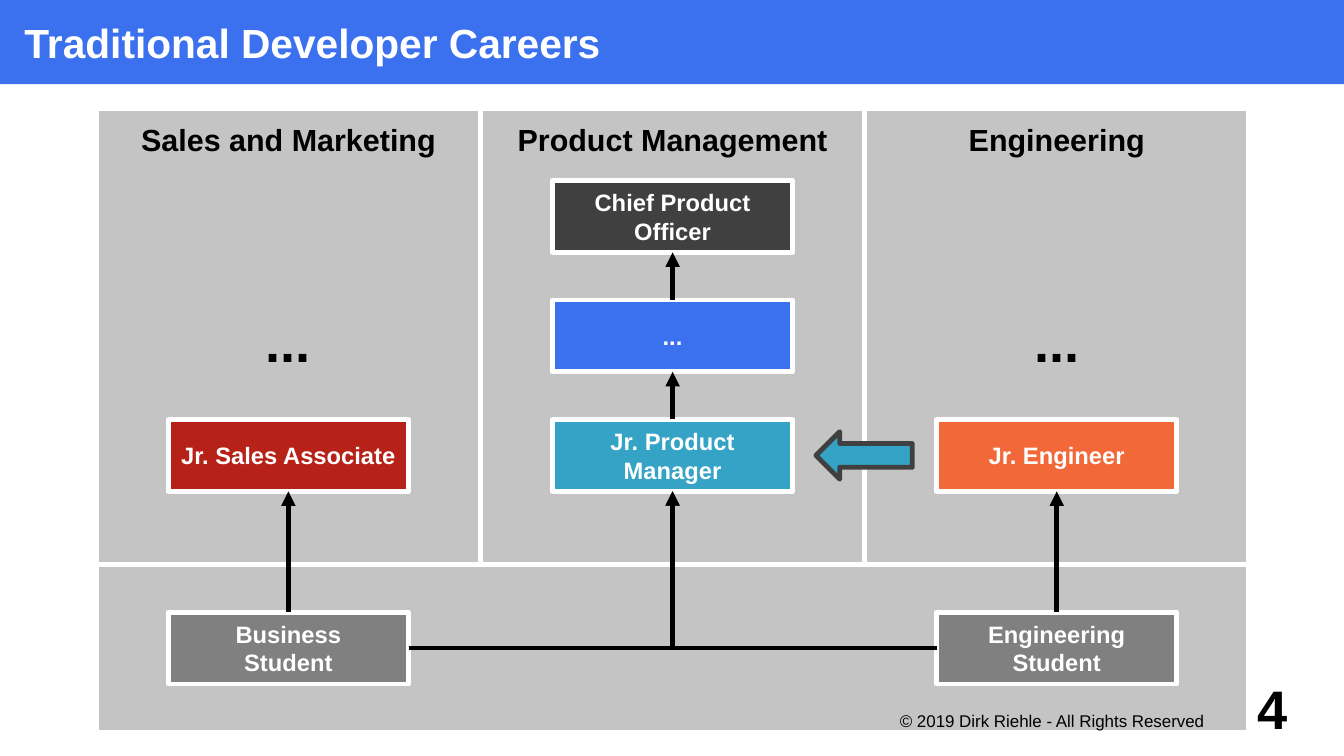
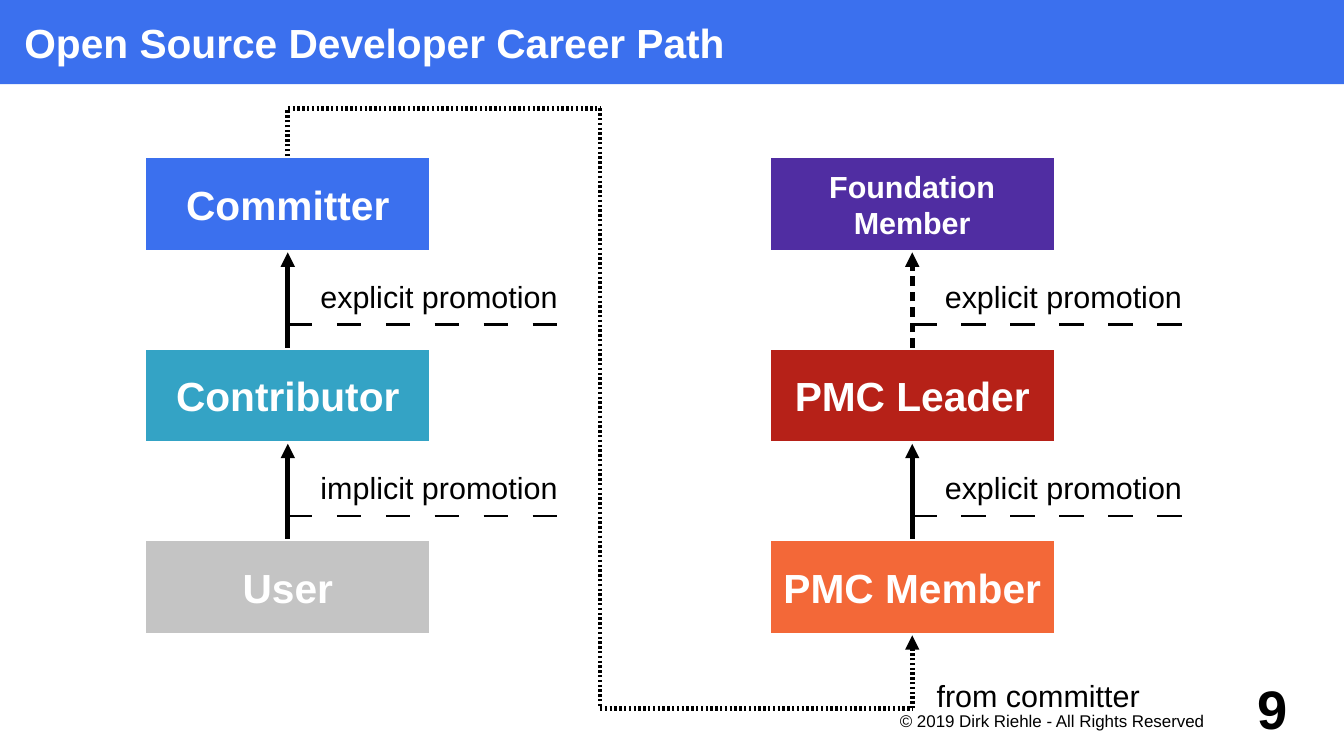
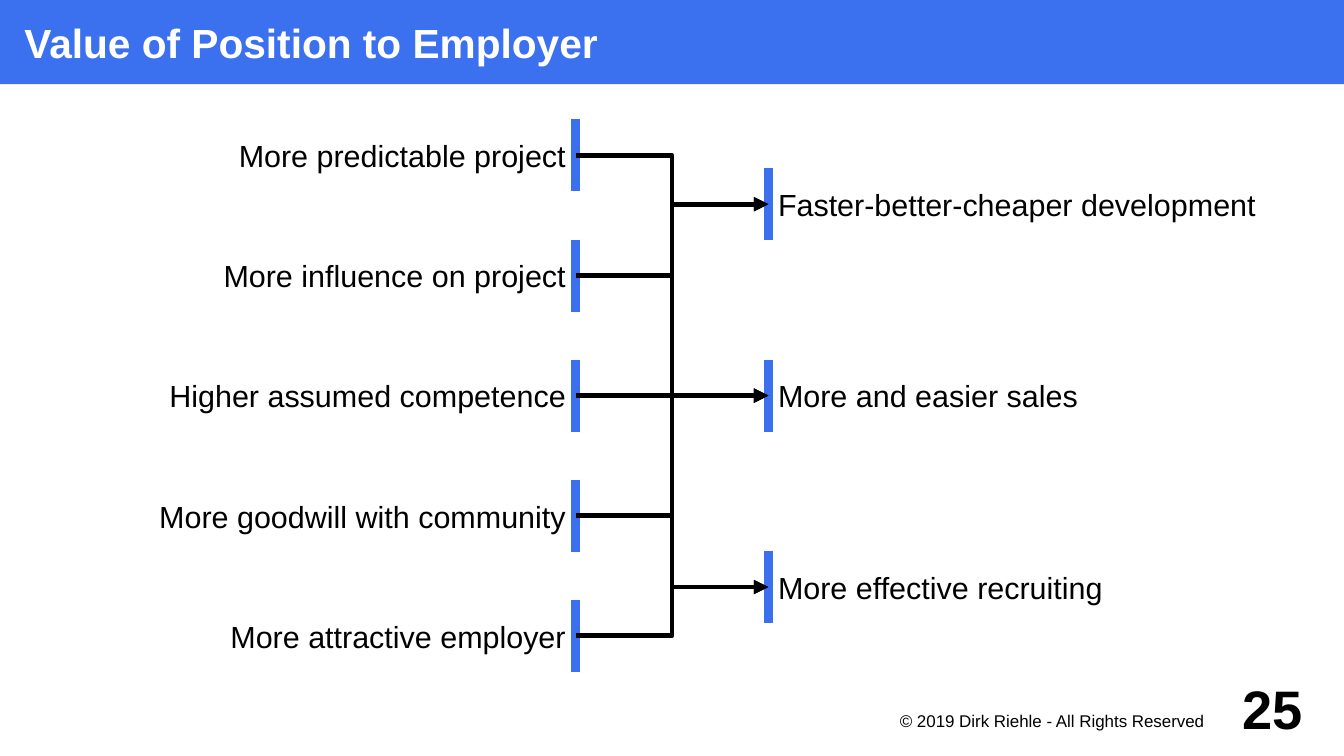
"""Builds three slides on developer careers and saves them as out.pptx."""
import itertools

import lxml.etree
import pptx
import pptx.dml.color
import pptx.enum.shapes
import pptx.enum.text
import pptx.oxml.ns
import pptx.util

Inches = pptx.util.Inches
Pt = pptx.util.Pt
rgb = pptx.dml.color.RGBColor.from_string
qn = pptx.oxml.ns.qn
ALIGN = pptx.enum.text.PP_ALIGN
ANCHOR = pptx.enum.text.MSO_ANCHOR
SHAPE = pptx.enum.shapes.MSO_SHAPE
CONNECTOR = pptx.enum.shapes.MSO_CONNECTOR

BLUE, TEAL, RED, ORANGE = "3B70EE", "34A3C5", "B62118", "F36838"
PURPLE, SILVER, GRAY, CHARCOAL = "502DA2", "C4C4C4", "808080", "404040"
BLACK, WHITE = "000000", "FFFFFF"
FONT = "Arial"
STROKE = 2.83
TOP, LEFT, BOTTOM, RIGHT = range(4)
DOTTED, DASHED, SPACED = (50, 50), (200, 120), (1000, 1000)


def box(slide, left, top, width, height, text="", size=18, color=BLACK, bold=False, fill=None, line=None,
        align=ALIGN.CENTER, anchor=ANCHOR.MIDDLE, insets=(0.08, 0.08, 0.08, 0.08), outline=SHAPE.RECTANGLE):
    place = [Inches(length) for length in (left, top, width, height)]
    if fill:
        item = slide.shapes.add_shape(outline, *place)
        item.shadow.inherit = False
        item.fill.solid()
        item.fill.fore_color.rgb = rgb(fill)
        if line:
            item.line.color.rgb = rgb(line)
            item.line.width = Pt(STROKE)
        else:
            item.line.fill.background()
    else:
        item = slide.shapes.add_textbox(*place)
    frame = item.text_frame
    frame.word_wrap = True
    frame.vertical_anchor = anchor
    frame.margin_left, frame.margin_top, frame.margin_right, frame.margin_bottom = map(Inches, insets)
    frame.text = text
    for paragraph in frame.paragraphs:
        paragraph.alignment = align
        paragraph.font.name = FONT
        paragraph.font.size = Pt(size)
        paragraph.font.bold = bold
        paragraph.font.color.rgb = rgb(color)
    return item


def link(slide, points=(0, 0, 0, 0), start=None, end=None, kind=CONNECTOR.STRAIGHT,
         color=BLACK, width=STROKE, dash=None, arrow=False):
    connector = slide.shapes.add_connector(kind, *map(Inches, points))
    if start:
        connector.begin_connect(*start)
    if end:
        connector.end_connect(*end)
    connector.line.color.rgb = rgb(color)
    connector.line.width = Pt(width)
    properties = connector._element.spPr
    lxml.etree.SubElement(properties, qn("a:effectLst"))
    stroke = properties.find(qn("a:ln"))
    if dash:
        pattern = lxml.etree.SubElement(stroke, qn("a:custDash"))
        on, off = dash
        lxml.etree.SubElement(pattern, qn("a:ds"), d=str(on * 1000), sp=str(off * 1000))
    if arrow:
        lxml.etree.SubElement(stroke, qn("a:tailEnd"), type="triangle")
    return connector


deck = pptx.Presentation()
deck.slide_width = Inches(11.02)
deck.slide_height = Inches(6.2)
blank = deck.slide_layouts[6]

titles = ["Traditional Developer Careers", "Open Source Developer Career Path", "Value of Position to Employer"]
for title in titles:
    box(deck.slides.add_slide(blank), 0, 0, 11.02, 0.69, title, 24, WHITE, True, BLUE,
        align=ALIGN.LEFT, insets=(0.2, 0, 0, 0))
traditional, open_source, value = deck.slides

box(traditional, 0.79, 4.63, 9.45, 1.38, fill=SILVER, line=WHITE)
departments = ["Sales and Marketing", "Product Management", "Engineering"]
for column, department in enumerate(departments):
    box(traditional, 0.79 + 3.15 * column, 0.89, 3.15, 3.74, department, bold=True, fill=SILVER, line=WHITE,
        anchor=ANCHOR.TOP, insets=(0.08, 0.1, 0.08, 0.08))

positions = [
    (0, 3.44, "Jr. Sales Associate", RED),
    (0, 5.02, "Business\vStudent", GRAY),
    (1, 1.48, "Chief Product Officer", CHARCOAL),
    (1, 2.46, "...", BLUE),
    (1, 3.44, "Jr. Product Manager", TEAL),
    (2, 3.44, "Jr. Engineer", ORANGE),
    (2, 5.02, "Engineering\nStudent", GRAY),
]
associate, business, officer, middle, manager, engineer, engineering = [
    box(traditional, 1.38 + 3.15 * column, top, 1.97, 0.59, position, 14, WHITE, True, fill, WHITE)
    for column, top, position, fill in positions
]
for left in (1.38, 7.68):
    box(traditional, left, 2.45, 1.97, 1, "...", 32, bold=True, anchor=ANCHOR.TOP, insets=(0.09, 0.08, 0.09, 0.04))
for lower, upper in [(business, associate), (manager, middle), (middle, officer), (engineering, engineer)]:
    link(traditional, start=(lower, TOP), end=(upper, BOTTOM), arrow=True)
for student, side in [(business, RIGHT), (engineering, LEFT)]:
    path_to_manager = link(traditional, start=(student, side), end=(manager, BOTTOM),
                           kind=CONNECTOR.ELBOW, arrow=True)
    path_to_manager._element.spPr.find(qn("a:prstGeom")).set("prst", "bentConnector2")
box(traditional, 6.69, 3.54, 0.79, 0.39, fill=TEAL, line=CHARCOAL, outline=SHAPE.LEFT_ARROW)

ladders = [
    (1.18, [("Committer", 24, BLUE), ("Contributor", 24, TEAL), ("User", 24, SILVER)],
     [("explicit promotion", None), ("implicit promotion", None)]),
    (6.3, [("Foundation\nMember", 18, PURPLE), ("PMC Leader", 24, RED), ("PMC Member", 24, ORANGE)],
     [("explicit promotion", DASHED), ("explicit promotion", None)]),
]
roles = []
for left, ladder, promotions in ladders:
    center = left + 1.18
    rungs = [
        box(open_source, left, 1.28 + 1.57 * row, 2.36, 0.79, role, size, WHITE, True, fill, WHITE,
            insets=(0.1, 0.1, 0.1, 0.1))
        for row, (role, size, fill) in enumerate(ladder)
    ]
    for row, (promotion, dash) in enumerate(promotions):
        top = 2.07 + 1.57 * row
        link(open_source, start=(rungs[row + 1], TOP), end=(rungs[row], BOTTOM), dash=dash, arrow=True)
        link(open_source, (center, top + 0.59, center + 2.36, top + 0.59), width=1.45, dash=SPACED)
        box(open_source, center, top, 2.36, 0.59, promotion, anchor=ANCHOR.BOTTOM, insets=(0.2, 0.08, 0.08, 0.08))
    roles.append(rungs)

committer, pmc_member = roles[0][0], roles[1][-1]
corners = [(2.36, 1.28), (2.36, 0.89), (4.92, 0.89), (4.92, 5.81), (7.48, 5.81), (7.48, 5.22)]
for here, there in itertools.pairwise(corners):
    link(open_source, here + there, start=(committer, TOP) if here == corners[0] else None,
         end=(pmc_member, BOTTOM) if there == corners[-1] else None, dash=DOTTED, arrow=there == corners[-1])
box(open_source, 7.48, 5.41, 2.36, 0.59, "from committer", align=ALIGN.LEFT, insets=(0.2, 0.08, 0.08, 0.08))

causes = ["More predictable project", "More influence on project", "Higher assumed competence",
          "More goodwill with community", "More attractive employer"]
effects = ["Faster-better-cheaper development", "More and easier sales", "More effective recruiting"]
sides = [
    (causes, 0.39, 4.72, 0.98, (4.92 - 0.98) / 4, ALIGN.RIGHT),
    (effects, 6.3, 6.3, 1.38, 1.57, ALIGN.LEFT),
]
labels = []
for texts, left, bar, first, step, align in sides:
    tops = [first + step * row for row in range(len(texts))]
    labels.append([box(value, left, top, 4.33, 0.59, text, align=align) for top, text in zip(tops, texts)])
    for top in tops:
        link(value, (bar, top, bar, top + 0.59), color=BLUE, width=5.67)
for cause, effect in [(0, 0), (1, 0), (1, 1), (2, 1), (3, 1), (3, 2), (4, 2)]:
    level = (cause, effect) == (2, 1)
    link(value, start=(labels[0][cause], RIGHT), end=(labels[1][effect], LEFT),
         kind=CONNECTOR.STRAIGHT if level else CONNECTOR.ELBOW, arrow=True)

for slide, number in zip(deck.slides, ("4", "9", "25")):
    box(slide, 7.09, 5.81, 3.15, 0.3, "© 2019 Dirk Riehle - All Rights Reserved", 10,
        anchor=ANCHOR.TOP, insets=(0, 0.02, 0.08, 0))
    box(slide, 10.04, 5.51, 0.79, 0.59, number, 32, bold=True, insets=(0, 0, 0, 0))

deck.save("out.pptx")
